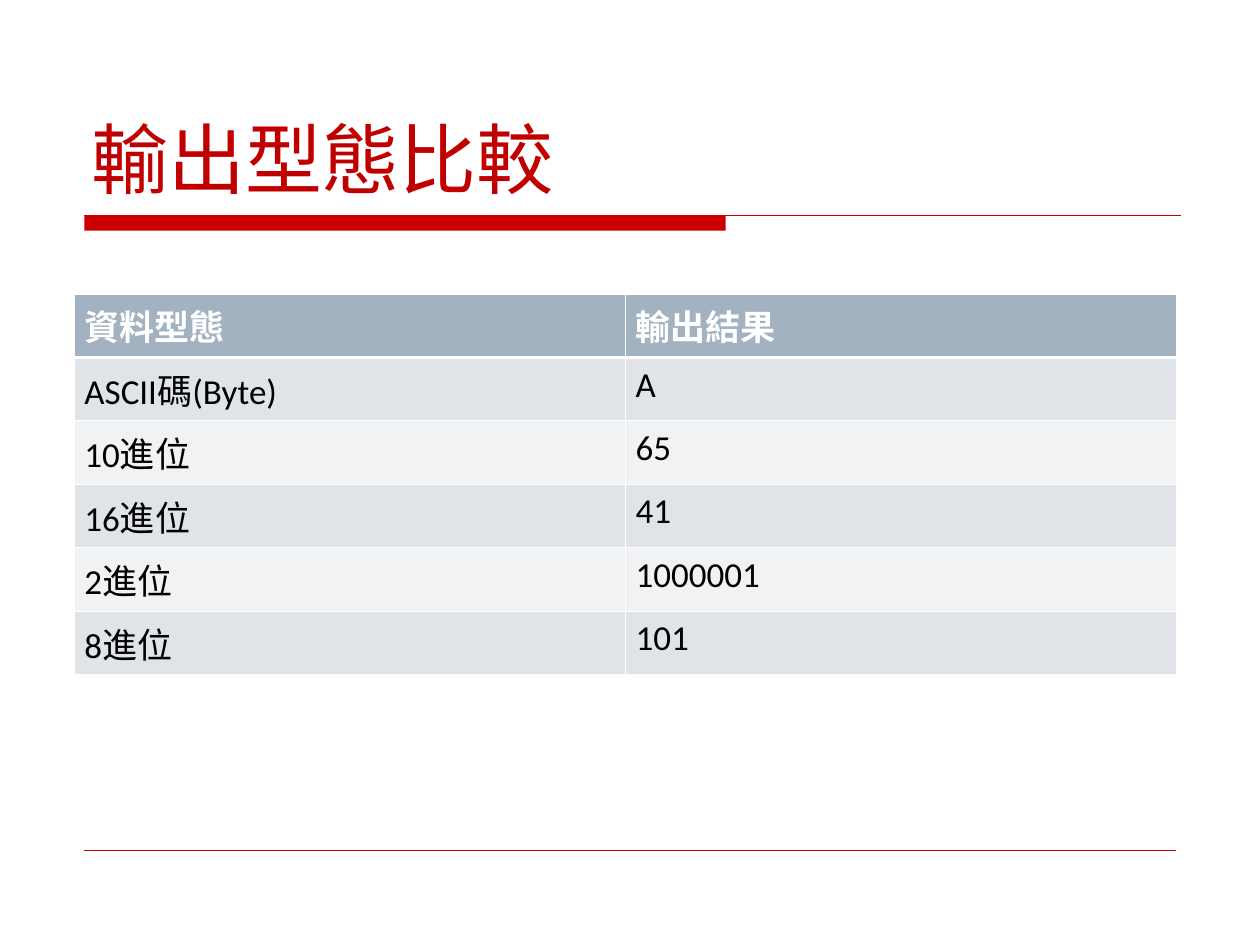
from dataclasses import dataclass

from lxml.etree import SubElement
from pptx import Presentation
from pptx.dml.color import RGBColor
from pptx.enum.shapes import MSO_CONNECTOR, MSO_SHAPE
from pptx.enum.text import MSO_ANCHOR, MSO_AUTO_SIZE, PP_ALIGN
from pptx.oxml.ns import qn
from pptx.util import Inches, Pt

WIDTH, HEIGHT = Inches(10), Inches(7.5)
RED = "CC0000"
WHITE = "FFFFFF"
CJK_FONT = "Noto Sans CJK SC"
BORDER, HEADER_BORDER = 0.45, 1.47


@dataclass
class Rule:
    left: float
    right: float
    top: float
    weight: float


@dataclass
class RowStyle:
    fill: str
    color: str
    bold: bool


RULES = [Rule(0.067, 0.937, 0.228, 0.75), Rule(0.067, 0.933, 0.9, 0.25)]
HEADER = RowStyle("A3B2C1", WHITE, True)
BANDS = [RowStyle("E0E4E9", "000000", False), RowStyle("F0F2F4", "000000", False)]
ROWS = [
    ("資料型態", "輸出結果"),
    ("ASCII碼(Byte)", "A"),
    ("10進位", "65"),
    ("16進位", "41"),
    ("2進位", "1000001"),
    ("8進位", "101"),
]


def across(share: float) -> int:
    return int(WIDTH * share)


def down(share: float) -> int:
    return int(HEIGHT * share)


def paint(target, color: str) -> None:
    target.solid()
    target.fore_color.rgb = RGBColor.from_string(color)


def write(frame, text: str, color: str, formats: dict) -> None:
    paragraph = frame.paragraphs[0]
    paragraph.alignment = PP_ALIGN.LEFT
    run = paragraph.add_run()
    run.text = text
    paint(run.font.fill, color)
    for name, value in formats.items():
        setattr(run.font, name, value)
    SubElement(run.font._element, qn("a:ea"), typeface=CJK_FONT)


def draw_rule(slide, rule: Rule) -> None:
    connector = slide.shapes.add_connector(
        MSO_CONNECTOR.STRAIGHT, across(rule.left), down(rule.top),
        across(rule.right), down(rule.top))
    paint(connector.line.fill, RED)
    connector.line.width = Pt(rule.weight)
    SubElement(connector._element.spPr, qn("a:effectLst"))


def draw_bar(slide) -> None:
    shape = slide.shapes.add_shape(
        MSO_SHAPE.RECTANGLE, across(0.067), down(0.228), across(0.509), down(0.016))
    shape.shadow.inherit = False
    paint(shape.fill, RED)
    shape.line.fill.background()


def add_border(cell, side: str, weight: float) -> None:
    line = SubElement(cell._tc.get_or_add_tcPr(), qn(f"a:ln{side}"), w=str(int(Pt(weight))))
    fill = SubElement(line, qn("a:solidFill"))
    SubElement(fill, qn("a:srgbClr"), val=WHITE)


def fill_cell(cell, text: str, style: RowStyle, row: int) -> None:
    margins = {"margin_left": 0.08, "margin_right": 0.08, "margin_top": 0.05, "margin_bottom": 0.05}
    for name, value in margins.items():
        setattr(cell, name, Inches(value))
    weights = {
        "L": BORDER,
        "R": BORDER,
        "T": HEADER_BORDER if row == 1 else BORDER,
        "B": HEADER_BORDER if row == 0 else BORDER,
    }
    for side, weight in weights.items():
        add_border(cell, side, weight)
    paint(cell.fill, style.fill)
    write(cell.text_frame, text, style.color,
          {"name": "Calibri", "size": Pt(20), "bold": style.bold})


def draw_table(slide) -> None:
    table = slide.shapes.add_table(
        len(ROWS), len(ROWS[0]), across(0.059), down(0.311), across(0.875), down(0.324)).table
    for row, texts in enumerate(ROWS):
        style = BANDS[(row - 1) % 2] if row else HEADER
        for column, text in enumerate(texts):
            fill_cell(table.cell(row, column), text, style, row)


def place_title(slide) -> None:
    title = slide.shapes.title
    place = {"left": across(0.063), "top": down(0.044), "width": across(0.875), "height": down(0.178)}
    for name, value in place.items():
        setattr(title, name, value)
    frame = title.text_frame
    layout = {"auto_size": MSO_AUTO_SIZE.NONE, "word_wrap": True, "vertical_anchor": MSO_ANCHOR.BOTTOM}
    for name, value in layout.items():
        setattr(frame, name, value)
    write(frame, "輸出型態比較", "C00000", {"name": CJK_FONT, "size": Pt(44)})


def main() -> None:
    presentation = Presentation()
    presentation.slide_width, presentation.slide_height = WIDTH, HEIGHT
    slide = presentation.slides.add_slide(presentation.slide_layouts[5])
    paint(slide.background.fill, WHITE)
    draw_bar(slide)
    for rule in RULES:
        draw_rule(slide, rule)
    draw_table(slide)
    place_title(slide)
    presentation.save("out.pptx")


if __name__ == "__main__":
    main()
